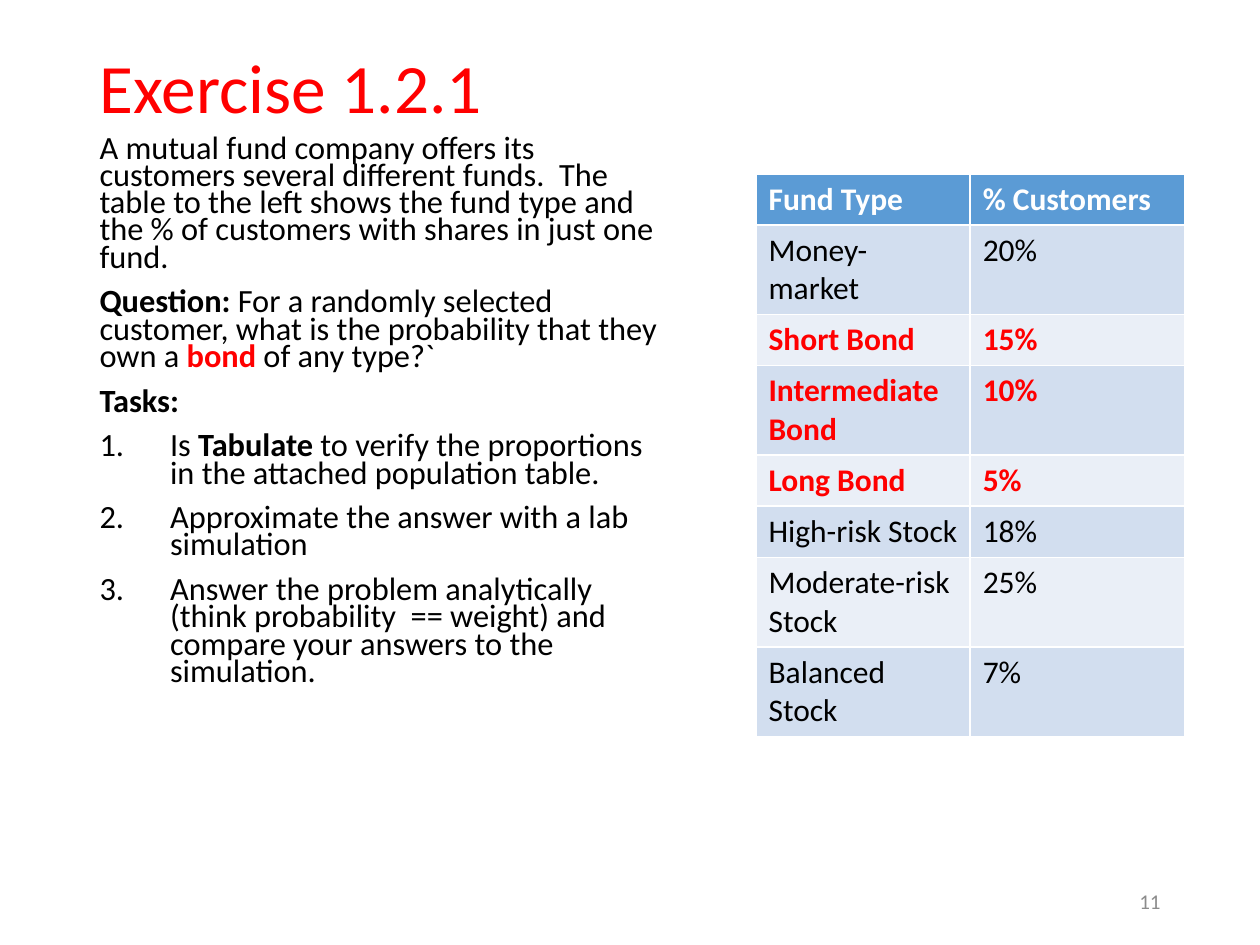
import pptx
import pptx.dml.color
import pptx.enum.text
import pptx.util
from dataclasses import dataclass
from lxml import etree

ALIGN = pptx.enum.text.PP_ALIGN
ANCHOR = pptx.enum.text.MSO_ANCHOR


@dataclass(frozen=True)
class Theme:
    font: str = "Calibri"
    ink: str = "000000"
    accent: str = "FF0000"
    muted: str = "8C8C8C"
    light: str = "FFFFFF"
    header: str = "5B9BD5"
    bands: tuple = ("D2DEEF", "EAEFF7")
    title_size: float = 39.6
    body_size: float = 18.5
    table_size: float = 18
    number_size: float = 12


def apply(target, values):
    for name, value in values.items():
        setattr(target, name, value)


class Page:
    """One slide on a grid of 100 columns by 75 rows."""

    def __init__(self, deck, theme):
        self.theme = theme
        self.slide = deck.slides.add_slide(deck.slide_layouts[1])
        self.column = deck.slide_width / 100
        self.row = deck.slide_height / 75

    def area(self, left, top, width, height):
        return {"left": round(left * self.column), "top": round(top * self.row),
                "width": round(width * self.column), "height": round(height * self.row)}

    def span(self, para, text, size, color, bold=False):
        span = para.add_run()
        span.text = text
        apply(span.font, {"name": self.theme.font, "size": pptx.util.Pt(size), "bold": bold})
        span.font.color.rgb = pptx.dml.color.RGBColor.from_string(color)

    def frame(self, box, anchor):
        apply(box.text_frame, {"word_wrap": True, "vertical_anchor": anchor,
                               "auto_size": pptx.enum.text.MSO_AUTO_SIZE.NONE})
        return box.text_frame

    def title(self, text, area):
        box = self.slide.shapes.title
        apply(box, self.area(*area))
        para = self.frame(box, ANCHOR.MIDDLE).paragraphs[0]
        apply(para, {"alignment": ALIGN.LEFT, "line_spacing": 0.9})
        self.span(para, text, self.theme.title_size, self.theme.accent)

    def body(self, paragraphs, area):
        box = self.slide.placeholders[1]
        apply(box, self.area(*area))
        frame = self.frame(box, ANCHOR.TOP)
        for index, (numbered, parts) in enumerate(paragraphs):
            para = frame.add_paragraph() if index else frame.paragraphs[0]
            apply(para, {"line_spacing": 0.7,
                         "space_before": pptx.util.Pt(10 if index else 0)})
            self.bullet(para, numbered)
            for text, color, bold in parts:
                self.span(para, text, self.theme.body_size, color, bold)

    def bullet(self, para, numbered):
        properties = para._p.get_or_add_pPr()
        indent = pptx.util.Inches(0.56) if numbered else 0
        properties.set("marL", str(indent))
        properties.set("indent", str(-indent))
        tag = "a:buAutoNum" if numbered else "a:buNone"
        mark = etree.SubElement(properties, pptx.oxml.ns.qn(tag))
        if numbered:
            mark.set("type", "arabicPeriod")

    def table(self, rows, area, highlight):
        theme = self.theme
        table = self.slide.shapes.add_table(len(rows), len(rows[0]), **self.area(*area)).table
        for r, values in enumerate(rows):
            marked = highlight in values[0]
            fill = theme.bands[(r - 1) % 2] if r else theme.header
            color = theme.light if r == 0 else theme.accent if marked else theme.ink
            for c, text in enumerate(values):
                cell = table.cell(r, c)
                cell.fill.solid()
                cell.fill.fore_color.rgb = pptx.dml.color.RGBColor.from_string(fill)
                self.span(cell.text_frame.paragraphs[0], text, theme.table_size,
                          color, r == 0 or marked)

    def number(self, text, area):
        box = self.slide.shapes.add_textbox(**self.area(*area))
        para = self.frame(box, ANCHOR.MIDDLE).paragraphs[0]
        para.alignment = ALIGN.RIGHT
        self.span(para, text, self.theme.number_size, self.theme.muted)


def main():
    deck = pptx.Presentation()
    apply(deck, {"slide_width": pptx.util.Inches(10), "slide_height": pptx.util.Inches(7.5)})
    theme = Theme()
    page = Page(deck, theme)

    def plain(text):
        return text, theme.ink, False

    def strong(text, color=theme.ink):
        return text, color, True

    # Title
    page.title("Exercise 1.2.1", (6.9, 4, 86.2, 6.5))

    # Problem and numbered tasks
    page.body([
        (False, [plain("A mutual fund company offers its customers several different funds.  "
                       "The table to the left shows the fund type and the % of customers "
                       "with shares in just one fund.")]),
        (False, [strong("Question: "),
                 plain("For a randomly selected customer, what is the probability "
                       "that they own a "),
                 strong("bond", theme.accent), plain(" of any type?`")]),
        (False, [strong("Tasks:")]),
        (True, [plain("Is "), strong("Tabulate "),
                plain("to verify the proportions in the attached population table.")]),
        (True, [plain("Approximate the answer with a lab simulation")]),
        (True, [plain("Answer the problem analytically (think probability  == weight) "
                      "and compare your answers to the simulation.")]),
    ], (6.9, 10.4, 46.3, 47.6))

    # Fund table
    page.table([
        ("Fund Type", "% Customers"),
        ("Money-market", "20%"),
        ("Short Bond", "15%"),
        ("Intermediate Bond", "10%"),
        ("Long Bond", "5%"),
        ("High-risk Stock", "18%"),
        ("Moderate-risk Stock", "25%"),
        ("Balanced Stock", "7%"),
    ], (60, 13.8, 34, 32.4), "Bond")

    # Slide number
    page.number("11", (70.6, 69.5, 22.5, 4))

    deck.save("out.pptx")


if __name__ == "__main__":
    main()
